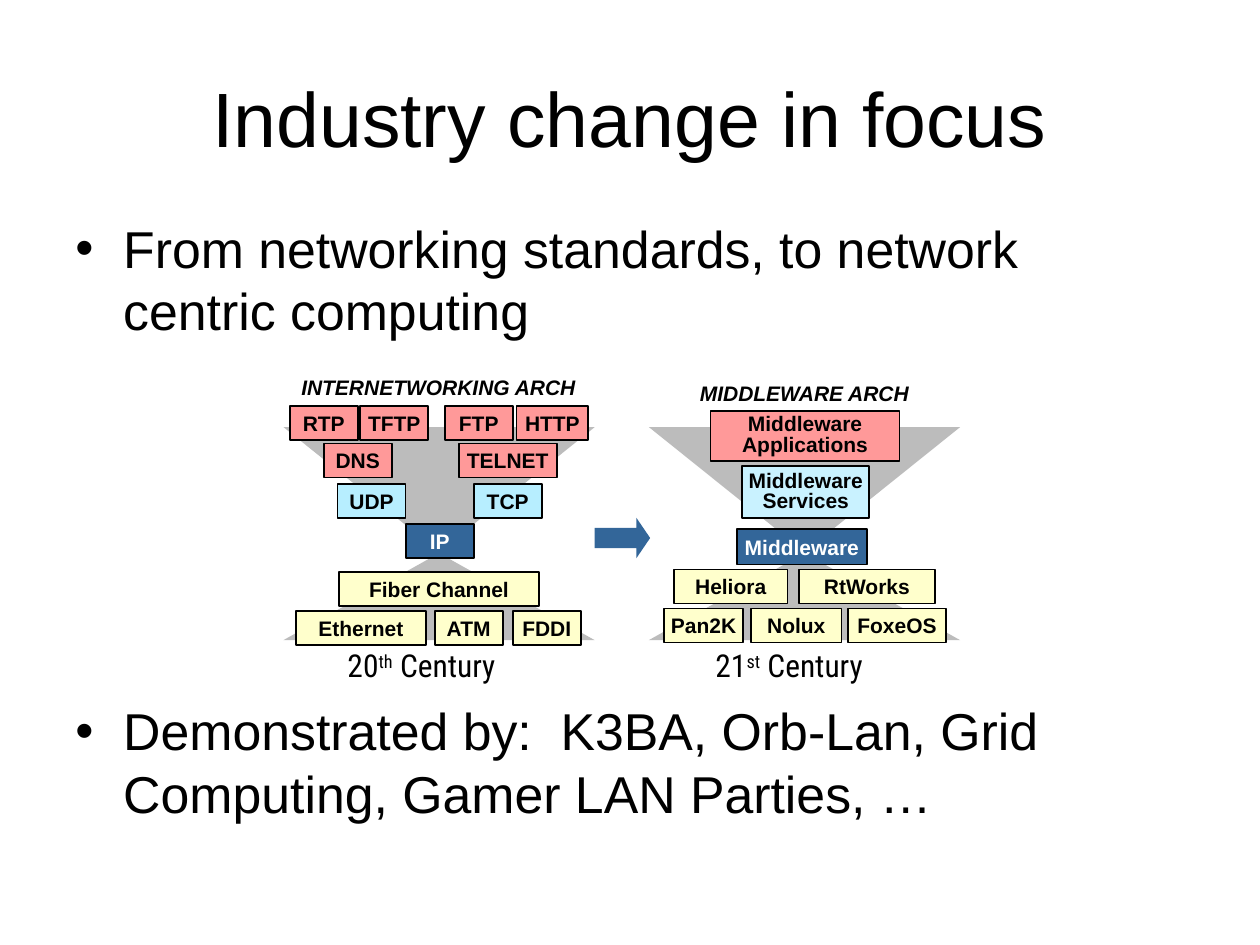
from lxml import etree
from pptx import Presentation, util as u
from pptx.dml.color import RGBColor
from pptx.enum import shapes, text
from pptx.oxml.ns import qn

HEX = {"ink": "000000", "white": "FFFFFF", "gray": "BCBCBC", "navy": "336699",
       "red": "FF9999", "sky": "B7EEFF", "pale": "C9F2FF", "cream": "FFFFCC"}
KIND = shapes.MSO_SHAPE
ALIGN = text.PP_ALIGN


def rgb(name):
    return RGBColor.from_string(HEX[name])


def write(para, words, size=12, font="Arial", color="ink", bold=False,
          slant=False, base=0):
    """Add one run; base is a superscript offset in percent."""
    run = para.add_run()
    run.text = words
    face = run.font
    face.size, face.name = u.Pt(size), font
    face.bold, face.italic = bold, slant
    face.color.rgb = rgb(color)
    if base:
        run._r.get_or_add_rPr().set("baseline", str(base * 1000))


class Deck:
    def __init__(self):
        self.prs = Presentation()
        self.prs.slide_width, self.prs.slide_height = u.Inches(10), u.Inches(7.5)
        self.slide = self.prs.slides.add_slide(self.prs.slide_layouts[6])

    def shape(self, kind, at, fill):
        part = self.slide.shapes.add_shape(kind, *map(u.Inches, at))
        part.shadow.inherit = False
        part.fill.solid()
        part.fill.fore_color.rgb = rgb(fill)
        part.line.fill.background()
        return part

    def box(self, words, at, fill, color="ink"):
        part = self.shape(KIND.RECTANGLE, at, fill)
        part.line.color.rgb = rgb("ink")
        part.line.width = u.Pt(1)
        frame = part.text_frame
        frame.word_wrap = False
        frame.vertical_anchor = text.MSO_ANCHOR.MIDDLE
        lines = words.split("\n")
        for i, line in enumerate(lines):
            para = frame.add_paragraph() if i else frame.paragraphs[0]
            para.alignment = ALIGN.CENTER
            if len(lines) > 1:
                para.line_spacing = 0.8
            write(para, line, color=color, bold=True)

    def row(self, top, fill, items, high=0.27, color="ink"):
        for words, left, wide in items:
            self.box(words, (left, top, wide, high), fill, color)

    def label(self, at, align=ALIGN.CENTER, wrap=False):
        """Add a text box and return its frame and first paragraph."""
        frame = self.slide.shapes.add_textbox(*map(u.Inches, at)).text_frame
        frame.word_wrap = wrap
        if not wrap:
            frame.auto_size = text.MSO_AUTO_SIZE.SHAPE_TO_FIT_TEXT
        para = frame.paragraphs[0]
        para.alignment = align
        return frame, para

    def title(self, words, at):
        frame, para = self.label(at, wrap=True)
        frame.vertical_anchor = text.MSO_ANCHOR.MIDDLE
        write(para, words, size=44)

    def bullet(self, words, top):
        _, para = self.label((0.5, top, 9, 1.17), ALIGN.LEFT, wrap=True)
        para.space_before = u.Pt(3)
        props = para._p.get_or_add_pPr()
        props.set("marL", str(u.Inches(0.38)))
        props.set("indent", str(-u.Inches(0.38)))
        etree.SubElement(props, qn("a:buFont")).set("typeface", "Arial")
        etree.SubElement(props, qn("a:buChar")).set("char", "•")
        write(para, words, size=29.6)

    def glass(self, left):
        """Draw the hourglass behind a stack."""
        self.shape(KIND.ISOSCELES_TRIANGLE, (left, 4.39, 2.47, 0.69), "gray")
        top = self.shape(KIND.ISOSCELES_TRIANGLE, (left, 3.39, 2.47, 0.99), "gray")
        top.rotation = 180

    def head(self, words, at):
        write(self.label(at)[1], words, bold=True, slant=True)

    def age(self, num, mark, left):
        _, para = self.label((left, 5.08, 1.6, 0.4), ALIGN.LEFT)
        for words, base in ((num, 0), (mark, 30), (" Century", 0)):
            write(para, words, size=18, font="Roboto Condensed", base=base)


def main():
    deck = Deck()
    deck.title("Industry change in focus", (0.5, 0.3, 9, 1.25))
    deck.bullet("From networking standards, to network centric computing", 1.67)

    # Middleware stack
    deck.glass(5.15)
    deck.row(4.83, "cream", [("Pan2K", 5.27, 0.63), ("Nolux", 5.96, 0.72),
                             ("FoxeOS", 6.73, 0.78)])
    deck.row(4.52, "cream", [("Heliora", 5.35, 0.9), ("RtWorks", 6.34, 1.08)])
    deck.box("Middleware", (5.85, 4.2, 1.03, 0.28), "navy", "white")
    deck.box("Middleware\nServices", (5.89, 3.7, 1.01, 0.41), "pale")
    deck.box("Middleware\nApplications", (5.64, 3.26, 1.5, 0.4), "red")
    deck.head("MIDDLEWARE ARCH", (5.45, 2.97, 1.87, 0.3))

    # Internetworking stack
    deck.glass(2.25)
    unit = 0.54
    deck.row(3.22, "red", [("RTP", 2.3, unit), ("TFTP", 2.86, unit),
                           ("FTP", 3.53, unit), ("HTTP", 4.1, 0.57)])
    deck.row(3.52, "red", [("DNS", 2.57, unit), ("TELNET", 3.64, 0.78)])
    deck.row(3.84, "sky", [("UDP", 2.68, unit), ("TCP", 3.76, unit)])
    deck.row(4.16, "navy", [("IP", 3.22, unit)], color="white")
    deck.row(4.54, "cream", [("Fiber Channel", 2.69, 1.59)])
    deck.row(4.85, "cream", [("Ethernet", 2.35, 1.03), ("ATM", 3.45, unit),
                             ("FDDI", 4.07, unit)])
    deck.head("INTERNETWORKING ARCH", (2.29, 2.92, 2.38, 0.3))

    # Centuries and the step between them
    deck.age("21", "st", 5.58)
    deck.age("20", "th", 2.66)
    arrow = deck.shape(KIND.RIGHT_ARROW, (4.72, 4.11, 0.44, 0.32), "navy")
    arrow.adjustments[1] = 0.34

    deck.bullet("Demonstrated by:  K3BA, Orb-Lan, Grid Computing, "
                "Gamer LAN Parties, …", 5.5)
    deck.prs.save("out.pptx")


if __name__ == "__main__":
    main()
